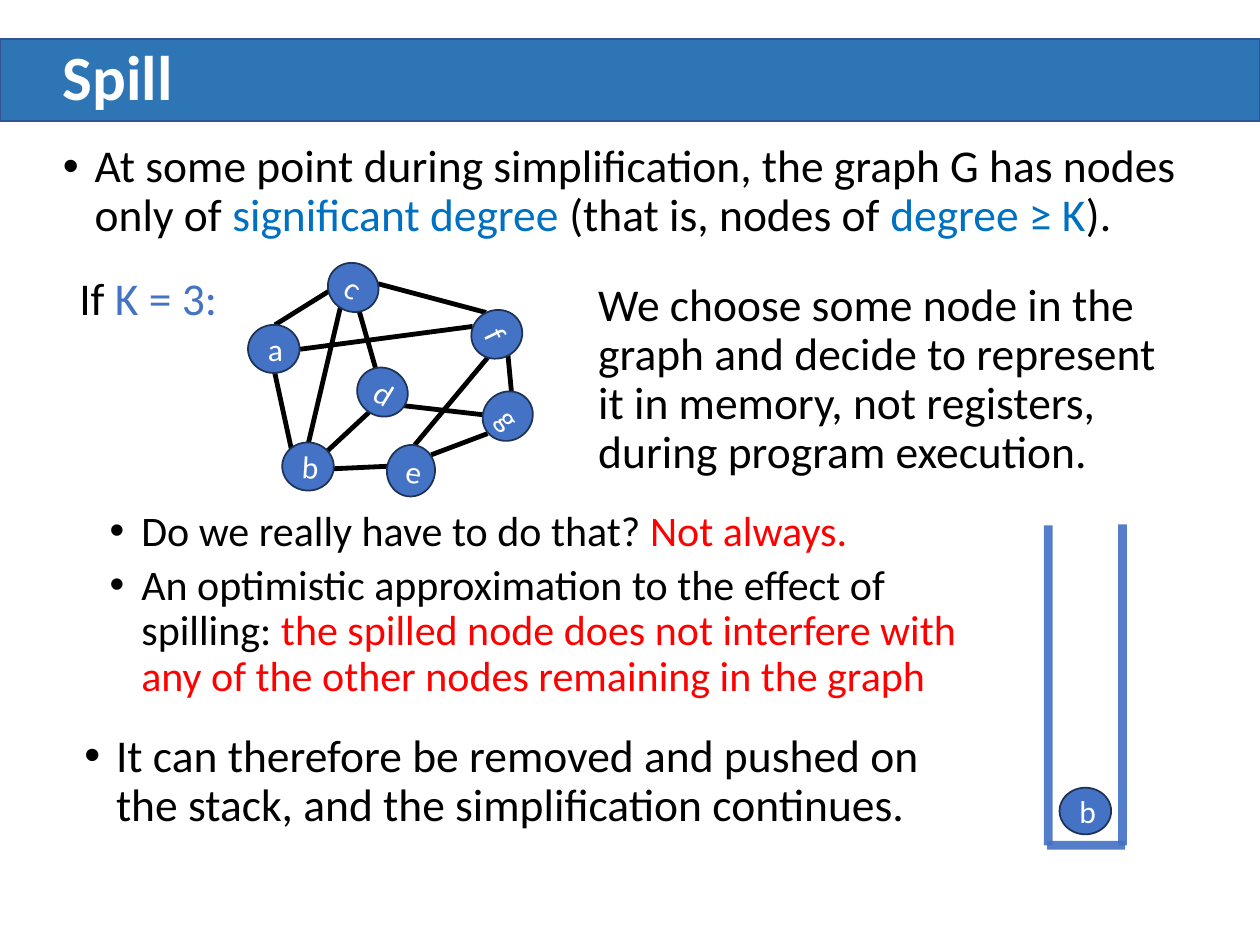
"""Build the slide on spilling a node during graph simplification."""
from lxml import etree
from pptx import Presentation
from pptx.dml.color import RGBColor
from pptx.enum import shapes, text
from pptx.oxml import ns
from pptx.util import Cm, Pt

BLACK = RGBColor(0x00, 0x00, 0x00)
WHITE = RGBColor(0xFF, 0xFF, 0xFF)
RED = RGBColor(0xFF, 0x00, 0x00)
BAR = RGBColor(0x2E, 0x75, 0xB6)
BAR_EDGE = RGBColor(0x32, 0x54, 0x91)
NODE = RGBColor(0x44, 0x72, 0xC4)
NODE_EDGE = RGBColor(0x1E, 0x32, 0x56)
TERM = RGBColor(0x00, 0x70, 0xC0)

prs = Presentation()
prs.slide_width, prs.slide_height = Cm(25.4), Cm(19.05)
s = prs.slides.add_slide(prs.slide_layouts[6])


def add_line(parent, x1, y1, x2, y2, color, width):
    cx = parent.add_connector(shapes.MSO_CONNECTOR.STRAIGHT, Cm(x1), Cm(y1), Cm(x2), Cm(y2))
    cx.line.color.rgb = color
    cx.line.width = Pt(width)
    etree.SubElement(cx._element.spPr, ns.qn("a:effectLst"))
    return cx


def add_node(parent, name, x, y, w, h, angle):
    sp = parent.add_shape(shapes.MSO_SHAPE.OVAL, Cm(x), Cm(y), Cm(w), Cm(h))
    sp.shadow.inherit = False
    sp.fill.solid()
    sp.fill.fore_color.rgb = NODE
    sp.line.color.rgb = NODE_EDGE
    sp.line.width = Pt(1)
    sp.rotation = angle
    tf = sp.text_frame
    tf.vertical_anchor = text.MSO_ANCHOR.MIDDLE
    p = tf.paragraphs[0]
    p.alignment = text.PP_ALIGN.CENTER
    r = p.add_run()
    r.text = name
    r.font.name, r.font.size = "Calibri", Pt(18)
    r.font.color.rgb = WHITE


bar = s.shapes.add_shape(shapes.MSO_SHAPE.RECTANGLE, 0, Cm(0.79), prs.slide_width, Cm(1.65))
bar.shadow.inherit = False
bar.fill.solid()
bar.fill.fore_color.rgb = BAR
bar.line.color.rgb = BAR_EDGE
bar.line.width = Pt(1)

edges = [
    (5.87, 9.04, 5.54, 7.52),
    (7.44, 8.31, 6.6, 9.09),
    (7.8, 9.4, 6.73, 9.45),
    (5.54, 6.55, 6.63, 5.87),
    (9.8, 6.3, 7.62, 5.72),
    (10.31, 7.9, 10.24, 7.16),
    (6.22, 8.92, 6.86, 6.2),
    (8.36, 8.97, 9.83, 7.21),
    (9.53, 6.58, 6.05, 7.04),
    (8.69, 9.17, 9.83, 8.74),
    (9.73, 8.36, 8.15, 8.18),
    (7.57, 7.42, 7.24, 6.27),
]
for edge in edges:
    add_line(s.shapes, *edge, BLACK, 2.75)

nodes = [
    ("a", 5, 6.55, 1.04, 0.97, 0),
    ("b", 5.69, 8.92, 1.04, 0.97, 3.6),
    ("c", 6.6, 5.31, 1.04, 0.97, 32.9),
    ("d", 7.19, 7.42, 1.04, 0.97, 31.3),
    ("e", 7.8, 8.97, 0.97, 1.04, 8.6),
    ("f", 9.53, 6.22, 0.97, 1.04, 64.3),
    ("g", 9.75, 7.87, 0.97, 1.04, 50.7),
]
for node in nodes:
    add_node(s.shapes, *node)

stack = s.shapes.add_group_shape().shapes
add_node(stack, "b", 21.36, 15.88, 1.04, 0.94, 0)
for wall in [(22.63, 10.57, 22.63, 17.04), (22.68, 17.04, 21.11, 17.04), (21.13, 10.59, 21.13, 17.04)]:
    cx = add_line(stack, *wall, NODE, 5)
    clr = cx._element.spPr.find(".//" + ns.qn("a:srgbClr"))
    etree.SubElement(clr, ns.qn("a:alpha"), val="91000")

boxes = [
    ((1.02, 0.79, 23.47, 1.65), 36, 0.9, 0, 0, [[("Spill", WHITE)]]),
    ((1.02, 2.77, 23.47, 2.67), 26, 0.9, 0, 0.64, [[
        ("At some point during simplification, the graph G has nodes only of ", BLACK),
        ("significant degree ", TERM),
        ("(that is, nodes of ", BLACK),
        ("degree ≥ K", TERM),
        (").", BLACK)]]),
    ((1.35, 5.31, 3.43, 1.37), 26, 1, 0, 0, [[("If ", BLACK), ("K = 3:", NODE)]]),
    ((11.81, 5.56, 11.86, 4.27), 26, 0.9, 0, 0, [[
        ("We choose some node in the graph and decide to represent it in memory, "
         "not registers, during program execution.", BLACK)]]),
    ((0.69, 10.16, 18.87, 4.14), 24, 0.9, 5, 1.91, [
        [("Do we really have to do that? ", BLACK), ("Not always.", RED)],
        [("An optimistic approximation to the effect of spilling: ", BLACK),
         ("the spilled node does not interfere with any of the other nodes "
          "remaining in the graph", RED)]]),
    ((1.45, 14.66, 18.19, 2.26), 26, 0.9, 0, 0.64, [[
        ("It can therefore be removed and pushed on the stack, "
         "and the simplification continues.", BLACK)]]),
]
for place, size, spacing, gap, indent, paragraphs in boxes:
    is_title = size == 36
    tf = s.shapes.add_textbox(*map(Cm, place)).text_frame
    tf.word_wrap = True
    tf.vertical_anchor = text.MSO_ANCHOR.MIDDLE if is_title else text.MSO_ANCHOR.TOP
    for i, runs in enumerate(paragraphs):
        p = tf.add_paragraph() if i else tf.paragraphs[0]
        if indent:
            pPr = p._p.get_or_add_pPr()
            pPr.set("marL", str(Cm(indent)))
            pPr.set("indent", str(-Cm(0.64)))
            etree.SubElement(pPr, ns.qn("a:buFont"), typeface="Arial")
            etree.SubElement(pPr, ns.qn("a:buChar"), char="•")
        p.line_spacing = spacing
        if i:
            p.space_before = Pt(gap)
        for words, color in runs:
            r = p.add_run()
            r.text = words
            r.font.name, r.font.size = "Calibri", Pt(size)
            r.font.bold = is_title
            r.font.color.rgb = color

prs.save("out.pptx")
